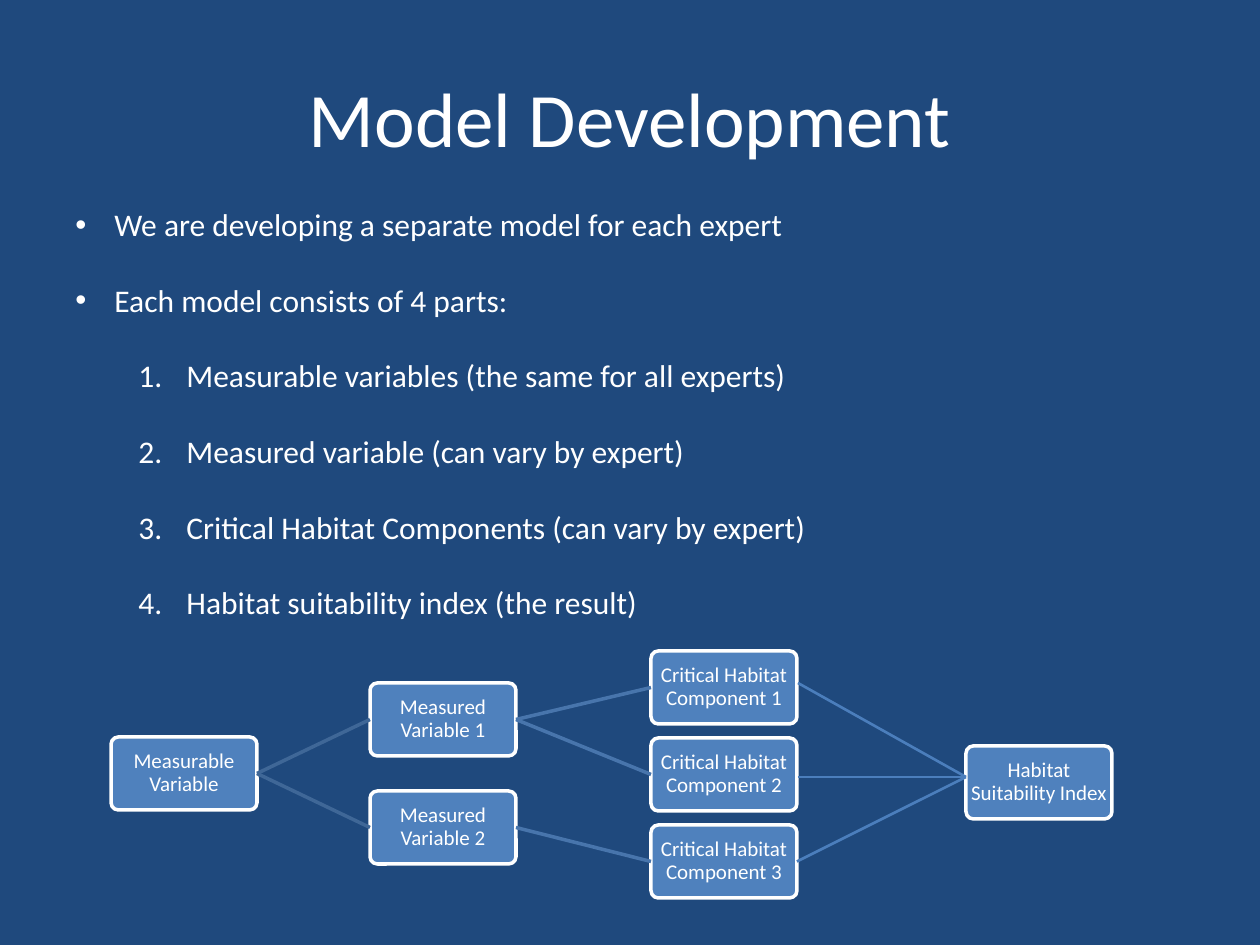
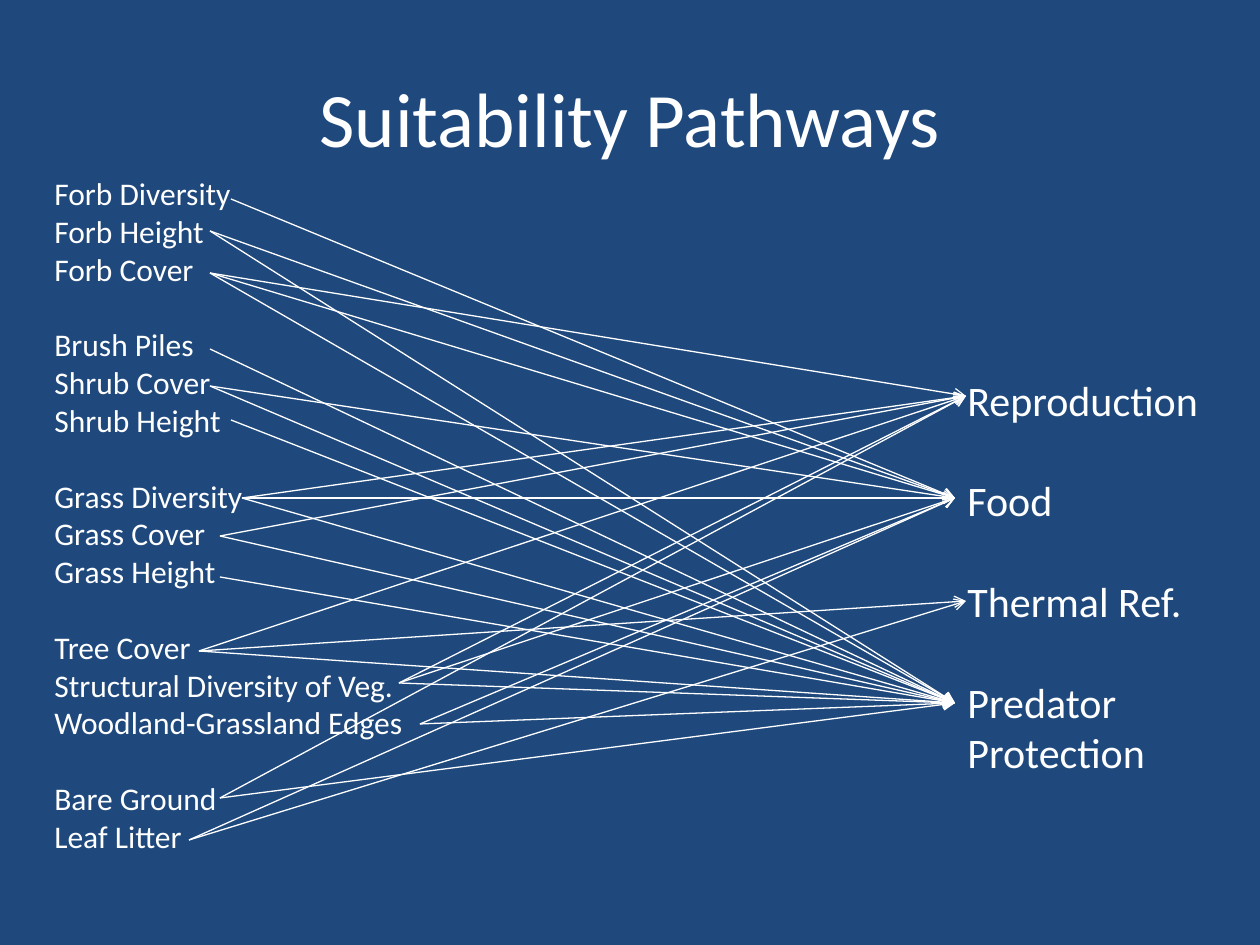
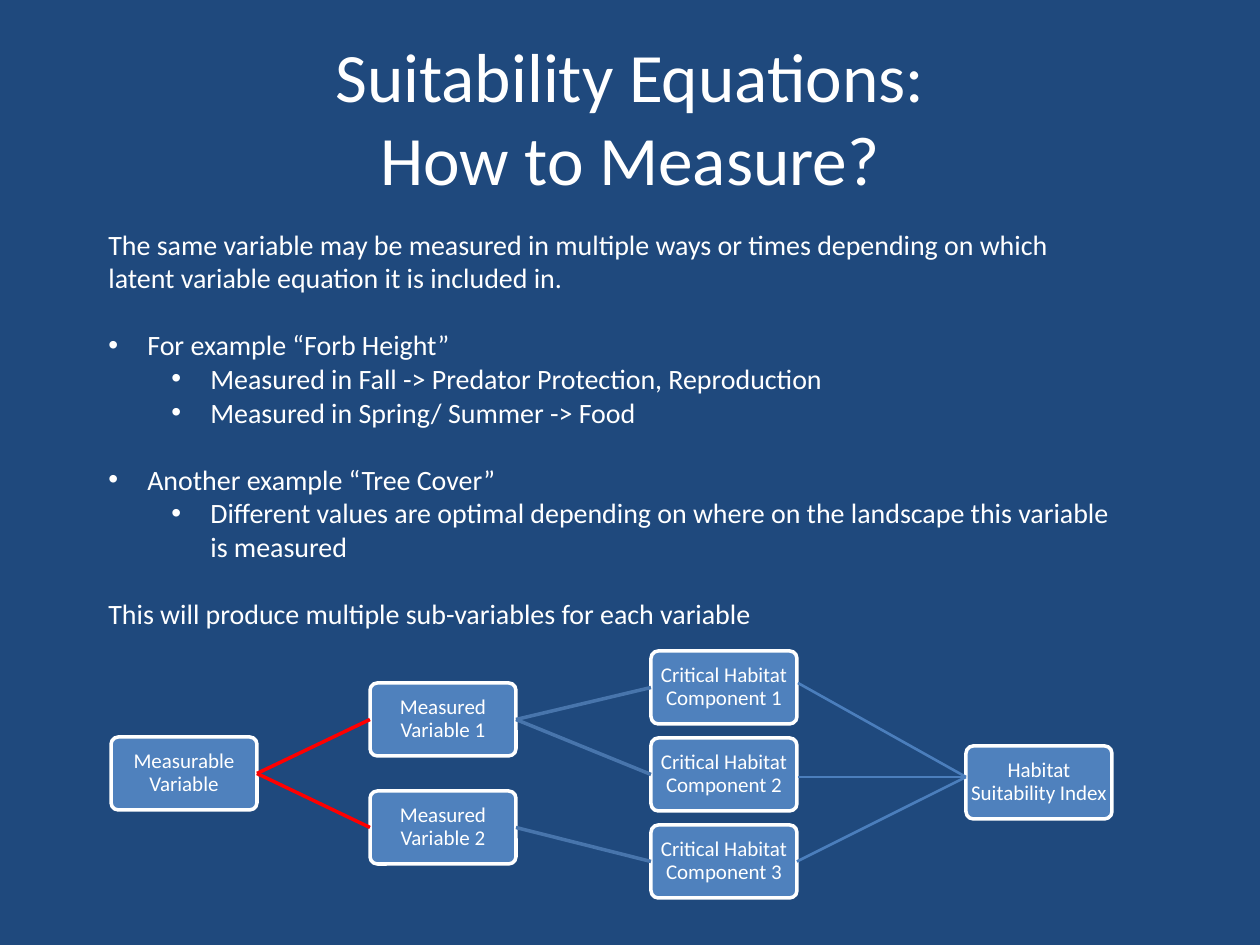
from copy import deepcopy

from lxml.etree import SubElement
from pptx import Presentation
from pptx.dml.color import RGBColor
from pptx.enum.shapes import MSO_CONNECTOR, MSO_SHAPE
from pptx.enum.text import MSO_ANCHOR, MSO_AUTO_SIZE, PP_ALIGN
from pptx.oxml.ns import qn
from pptx.util import Emu, Pt

WHITE = RGBColor(0xFF, 0xFF, 0xFF)
NAVY = RGBColor(0x1F, 0x49, 0x7D)
BOX_BLUE = RGBColor(0x4F, 0x81, 0xBD)
VARIABLE_LINE = RGBColor(0x3F, 0x67, 0x97)
COMPONENT_LINE = RGBColor(0x48, 0x75, 0xAC)
INDEX_LINE = RGBColor(0x4B, 0x7E, 0xBC)
RED = RGBColor(0xFF, 0x00, 0x00)

FONT = "Calibri"
EMU_PER_PX = 914400 / 126
LEFT, RIGHT = 1, 3
BOX_WIDTH, BOX_HEIGHT = 146, 73

# List style: level, left margin, hanging indent, bullet tag and its attributes
LIST_STYLES = {
    "bullet": (0, 39, 39, "a:buChar", {"char": "•"}),
    "sub-bullet": (1, 102, 39, "a:buChar", {"char": "•"}),
    "number": (1, 111, 48, "a:buAutoNum", {"type": "arabicPeriod"}),
}

MODEL_PARTS = [
    ("We are developing a separate model for each expert", "bullet", False),
    ("Each model consists of 4 parts:", "bullet", True),
    ("Measurable variables (the same for all experts)", "number", True),
    ("Measured variable (can vary by expert)", "number", True),
    ("Critical Habitat Components (can vary by expert)", "number", True),
    ("Habitat suitability index (the result)", "number", True),
]

MEASURING_NOTES = [
    ("The same variable may be measured in multiple ways or times depending on "
     "which latent variable equation it is included in.", None, False),
    ("For example “Forb Height”", "bullet", True),
    ("Measured in Fall -> Predator Protection, Reproduction", "sub-bullet", False),
    ("Measured in Spring/ Summer -> Food", "sub-bullet", False),
    ("Another example “Tree Cover”", "bullet", True),
    ("Different values are optimal depending on where on the landscape this "
     "variable is measured", "sub-bullet", False),
    ("This will produce multiple sub-variables for each variable", None, True),
]

# Where arrows arrive for each habitat component
COMPONENTS = {
    "Reproduction": (966, 396),
    "Food": (955, 498),
    "Thermal Ref.": (966, 601),
    "Predator Protection": (955, 703),
}

# Variable, where its arrows leave, and initials of the components they reach
VARIABLE_GROUPS = [
    [("Forb Diversity", (231, 199), "F"),
     ("Forb Height", (210, 231), "FP"),
     ("Forb Cover", (210, 273), "RFP")],
    [("Brush Piles", (210, 349), "P"),
     ("Shrub Cover", (210, 386), "FP"),
     ("Shrub Height", (231, 420), "P")],
    [("Grass Diversity", (242, 498), "RFP"),
     ("Grass Cover", (220, 536), "RP"),
     ("Grass Height", (220, 577), "P")],
    [("Tree Cover", (199, 651), "RTP"),
     ("Structural Diversity of Veg.", (399, 683), "RFP"),
     ("Woodland-Grassland Edges", (420, 724), "FP")],
    [("Bare Ground", (220, 798), "RP"),
     ("Leaf Litter", (189, 840), "FT")],
]


def px(length):
    return Emu(round(length * EMU_PER_PX))


def write(para, text, size=18, align=PP_ALIGN.LEFT, style=None, gap=False,
          line_spacing=None):
    """Fill a paragraph; gap leaves one line of space above it."""
    para.text = text
    para.alignment = align
    para.space_before = Pt(size * 1.2 if gap else 0)
    if line_spacing:
        para.line_spacing = line_spacing
    for span in para.runs:
        span.font.name = FONT
        span.font.size = Pt(size)
        span.font.color.rgb = WHITE
    for line_break in para._p.findall(qn("a:br")):
        line_break.append(deepcopy(para.runs[0]._r.rPr))
    if style:
        level, margin, hanging, tag, attributes = LIST_STYLES[style]
        para.level = level
        properties = para._p.get_or_add_pPr()
        properties.set("marL", str(px(margin)))
        properties.set("indent", str(px(-hanging)))
        SubElement(properties, qn("a:buFont"), typeface="Arial")
        SubElement(properties, qn(tag), attributes)


class SlideBuilder:
    def __init__(self):
        self.deck = Presentation()
        self.deck.slide_width = px(1260)
        self.deck.slide_height = px(945)
        background = self.deck.slide_master.background.fill
        background.solid()
        background.fore_color.rgb = NAVY
        self.page = None

    def new_page(self, title, size=44):
        self.page = self.deck.slides.add_slide(self.deck.slide_layouts[5])
        holder = self.page.shapes.title
        holder.left, holder.top = px(63), px(38)
        holder.width, holder.height = px(1134), px(157)
        frame = holder.text_frame
        frame.auto_size = MSO_AUTO_SIZE.NONE
        frame.vertical_anchor = MSO_ANCHOR.MIDDLE
        write(frame.paragraphs[0], title, size=size, align=PP_ALIGN.CENTER)

    def text(self, left, top, width, height, rows, size=18):
        """Add a text box from rows of (text, list style, gap above)."""
        box = self.page.shapes.add_textbox(px(left), px(top), px(width), px(height))
        frame = box.text_frame
        frame.word_wrap = True
        for index, (text, style, gap) in enumerate(rows):
            para = frame.add_paragraph() if index else frame.paragraphs[0]
            write(para, text, size=size, style=style, gap=gap)

    def box(self, left, top, text):
        box = self.page.shapes.add_shape(
            MSO_SHAPE.ROUNDED_RECTANGLE, px(left), px(top), px(BOX_WIDTH), px(BOX_HEIGHT))
        box.adjustments[0] = 0.1
        box.shadow.inherit = False
        box.fill.solid()
        box.fill.fore_color.rgb = BOX_BLUE
        box.line.color.rgb = WHITE
        box.line.width = Pt(2)
        frame = box.text_frame
        frame.word_wrap = True
        frame.vertical_anchor = MSO_ANCHOR.MIDDLE
        frame.margin_left = frame.margin_right = px(3)
        frame.margin_top = frame.margin_bottom = px(3)
        write(frame.paragraphs[0], text, size=12, align=PP_ALIGN.CENTER, line_spacing=0.9)
        return box

    def line(self, start, end, color=WHITE, width=0.75, arrow=False):
        """Draw from start to end; each is a point or a box to join."""
        start_point = start if isinstance(start, tuple) else (0, 0)
        end_point = end if isinstance(end, tuple) else (0, 0)
        line = self.page.shapes.add_connector(
            MSO_CONNECTOR.STRAIGHT, *map(px, start_point + end_point))
        if start is not start_point:
            line.begin_connect(start, RIGHT)
        if end is not end_point:
            line.end_connect(end, LEFT)
        line.line.color.rgb = color
        line.line.width = Pt(width)
        if arrow:
            SubElement(line.line._get_or_add_ln(), qn("a:tailEnd"), type="arrow")
        SubElement(line._element.spPr, qn("a:effectLst"))

    def model_diagram(self, variable_color):
        measurable = self.box(111, 737, "Measurable Variable")
        measured = [self.box(370, 683 + 108 * i, f"Measured Variable {i + 1}")
                    for i in range(2)]
        critical = [self.box(651, 651 + 87 * i, f"Critical Habitat Component {i + 1}")
                    for i in range(3)]
        self.box(966, 746, "Habitat Suitability Index")
        for variable in measured:
            self.line(measurable, variable, variable_color, 2)
        for variable, component in zip((0, 0, 1), critical):
            self.line(measured[variable], component, COMPONENT_LINE, 2)
        for start in ((798, 683), (798, 777), critical[2]):
            self.line(start, (966, 777), INDEX_LINE, 1.5)


def add_development(builder):
    builder.new_page("Model Development")
    builder.text(63, 199, 1113, 432, MODEL_PARTS)
    builder.model_diagram(VARIABLE_LINE)


def add_pathways(builder):
    builder.new_page("Suitability Pathways")
    variables = [(name, None, group_index > 0 and index == 0)
                 for group_index, group in enumerate(VARIABLE_GROUPS)
                 for index, (name, _, _) in enumerate(group)]
    builder.text(42, 168, 378, 699, variables)
    components = [(name, None, index > 0) for index, name in enumerate(COMPONENTS)]
    builder.text(955, 368, 263, 420, components, size=24)
    arrivals = {name[0]: point for name, point in COMPONENTS.items()}
    for group in VARIABLE_GROUPS:
        for _, start, initials in group:
            for initial in initials:
                builder.line(start, arrivals[initial], arrow=True)


def add_equations(builder):
    builder.new_page("Suitability Equations:\nHow to Measure?", size=39.6)
    builder.text(96, 221, 1029, 420, MEASURING_NOTES, size=16)
    builder.model_diagram(RED)


def main():
    builder = SlideBuilder()
    add_development(builder)
    add_pathways(builder)
    add_equations(builder)
    builder.deck.save("out.pptx")


if __name__ == "__main__":
    main()
